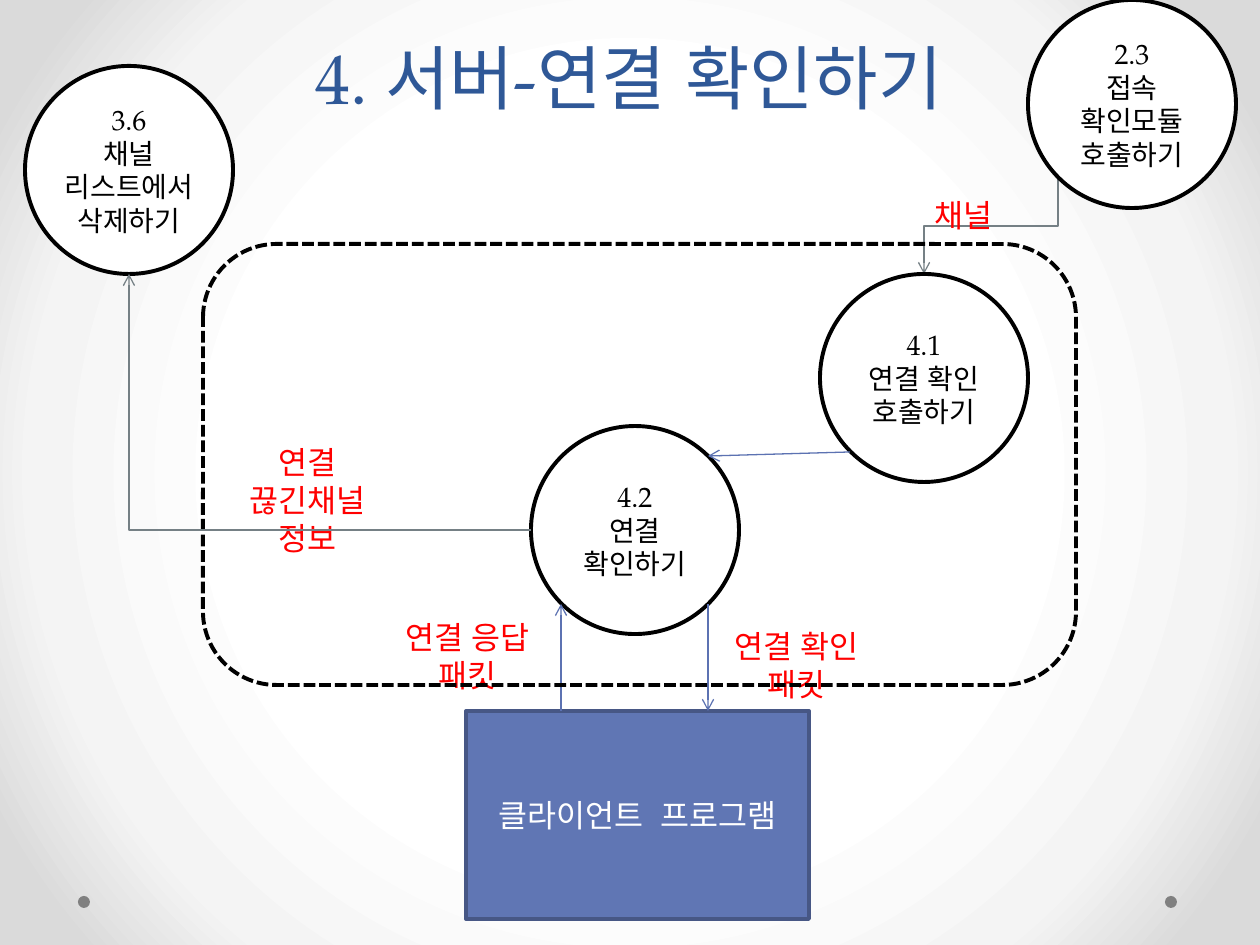
"""Build the server connection check data flow slide."""
from dataclasses import dataclass

from lxml import etree
from pptx import Presentation, util as u
from pptx.dml.color import RGBColor
from pptx.enum import dml, lang, shapes, text
from pptx.oxml import ns, parse_xml

FONT = "TeX Gyre Pagella"
SCALE = 914400 / 126
CIRCLE_SIZE = 208
BLACK, WHITE, RED = "000000", "FFFFFF", "FF0000"
BLUE_LINE, GRAY_LINE = "5C72B2", "758085"
GRADIENT_STOPS = ((50, "FFFFFF"), (76, "F4F4F4"), (92, "DADADA"))


@dataclass
class Process:
    left: int
    top: int
    lines: str


@dataclass
class Label:
    left: int
    top: int
    height: int
    caption: str


@dataclass
class Flow:
    begin: tuple[int, int]
    end: tuple[int, int]
    color: str = BLUE_LINE
    geometry: str = "line"
    rotation: int = 0


def px(length: float) -> u.Emu:
    """Convert pixels to EMU."""
    return u.Emu(round(length * SCALE))


def color(value: str) -> RGBColor:
    """Convert a hex string to a colour."""
    return RGBColor.from_string(value)


def write(frame, content: str, size: int, font_color: str) -> None:
    """Write centred, formatted paragraphs."""
    frame.text = content
    frame.word_wrap = True
    for paragraph in frame.paragraphs:
        paragraph.alignment = text.PP_ALIGN.CENTER
        for run in paragraph.runs:
            run.font.name = FONT
            run.font.size = u.Pt(size)
            run.font.color.rgb = color(font_color)
            run.font.language_id = lang.MSO_LANGUAGE_ID.KOREAN


def add_shape(slide, kind, left: int, top: int, width: int, height: int,
              fill: str | None, line: str | None):
    """Add a flat preset shape."""
    shape = slide.shapes.add_shape(kind, px(left), px(top), px(width), px(height))
    shape.shadow.inherit = False
    if fill:
        shape.fill.solid()
        shape.fill.fore_color.rgb = color(fill)
    else:
        shape.fill.background()
    if line:
        shape.line.color.rgb = color(line)
        shape.line.width = u.Pt(2.25)
    else:
        shape.line.fill.background()
    return shape


def add_process(slide, process: Process) -> None:
    """Add a process circle."""
    shape = add_shape(slide, shapes.MSO_SHAPE.OVAL, process.left, process.top,
                      CIRCLE_SIZE, CIRCLE_SIZE, WHITE, BLACK)
    frame = shape.text_frame
    frame.margin_left = frame.margin_right = px(5)
    frame.margin_top = frame.margin_bottom = px(5)
    frame.vertical_anchor = text.MSO_ANCHOR.MIDDLE
    write(frame, process.lines, 16, BLACK)


def add_label(slide, label: Label) -> None:
    """Add a red data label."""
    box = slide.shapes.add_textbox(px(label.left), px(label.top), px(189), px(label.height))
    write(box.text_frame, label.caption, 18, RED)
    box.text_frame.auto_size = text.MSO_AUTO_SIZE.SHAPE_TO_FIT_TEXT


def add_flow(slide, flow: Flow) -> None:
    """Add an arrow, straight or bent."""
    (x1, y1), (x2, y2) = flow.begin, flow.end
    if flow.rotation:
        width, height = abs(x2 - x1), abs(y2 - y1)
        if flow.rotation == 90:
            width, height = height, width
        middle_x, middle_y = (x1 + x2) / 2, (y1 + y2) / 2
        x1, x2 = middle_x - width / 2, middle_x + width / 2
        y1, y2 = middle_y - height / 2, middle_y + height / 2
    connector = slide.shapes.add_connector(
        shapes.MSO_CONNECTOR.STRAIGHT, px(x1), px(y1), px(x2), px(y2))
    connector.line.color.rgb = color(flow.color)
    connector.line.width = u.Pt(0.75)
    properties = connector._element.spPr
    properties.find(ns.qn("a:prstGeom")).set("prst", flow.geometry)
    if flow.rotation:
        properties.find(ns.qn("a:xfrm")).set("rot", str(flow.rotation * 60000))
    etree.SubElement(properties.find(ns.qn("a:ln")), ns.qn("a:tailEnd"), type="arrow")
    etree.SubElement(properties, ns.qn("a:effectLst"))


def set_background(slide) -> None:
    """Apply the radial background gradient."""
    stops = "".join(f'<a:gs pos="{position * 1000}"><a:srgbClr val="{value}"/></a:gs>'
                    for position, value in GRADIENT_STOPS)
    background = parse_xml(
        f'<p:bg {ns.nsdecls("p", "a")}><p:bgPr><a:gradFill rotWithShape="1">'
        f'<a:gsLst>{stops}</a:gsLst><a:path path="circle">'
        '<a:fillToRect l="50000" t="50000" r="50000" b="50000"/></a:path>'
        '</a:gradFill><a:effectLst/></p:bgPr></p:bg>')
    slide._element.cSld.insert(0, background)


def add_title(slide) -> None:
    """Place and format the title."""
    title = slide.shapes.title
    title.left, title.top, title.width, title.height = px(62), px(0), px(1134), px(125)
    write(title.text_frame, "4. 서버-연결 확인하기", 40, "2F5897")
    title.text_frame.vertical_anchor = text.MSO_ANCHOR.BOTTOM
    title.text_frame.paragraphs[0].line_spacing = u.Pt(58)


def add_client(slide) -> None:
    """Add the client program box."""
    client = add_shape(slide, shapes.MSO_SHAPE.RECTANGLE, 466, 711, 343, 208,
                       "6076B4", "475785")
    client.text_frame.vertical_anchor = text.MSO_ANCHOR.MIDDLE
    write(client.text_frame, "클라이언트  프로그램", 18, WHITE)


def add_boundary(slide) -> None:
    """Add the dashed system boundary."""
    boundary = add_shape(slide, shapes.MSO_SHAPE.ROUNDED_RECTANGLE,
                         203, 244, 873, 441, None, BLACK)
    boundary.line.dash_style = dml.MSO_LINE.SQUARE_DOT


def main() -> None:
    """Build and save the slide."""
    presentation = Presentation()
    presentation.slide_width, presentation.slide_height = px(1260), px(945)
    slide = presentation.slides.add_slide(presentation.slide_layouts[5])
    set_background(slide)
    add_title(slide)
    for left in (1165, 78):
        add_shape(slide, shapes.MSO_SHAPE.OVAL, left, 896, 12, 12, "808080", None)
    add_process(slide, Process(531, 426, "4.2\n연결 확인하기"))
    add_client(slide)
    add_flow(slide, Flow((1058, 178), (924, 274), GRAY_LINE, "bentConnector3", 90))
    add_label(slide, Label(373, 612, 89, "연결 응답 패킷"))
    add_label(slide, Label(702, 621, 89, "연결 확인 패킷"))
    add_flow(slide, Flow((561, 711), (561, 604)))
    add_flow(slide, Flow((708, 604), (708, 711)))
    add_boundary(slide)
    add_process(slide, Process(820, 274, "4.1\n연결 확인\n호출하기"))
    add_flow(slide, Flow((850, 452), (708, 456)))
    add_label(slide, Label(213, 437, 89, "연결 끊긴채널 정보"))
    add_process(slide, Process(1028, 0, "2.3\n접속 확인모듈 호출하기"))
    add_process(slide, Process(25, 66, "3.6\n채널 리스트에서 삭제하기"))
    add_flow(slide, Flow((531, 530), (129, 274), GRAY_LINE, "bentConnector2", 180))
    add_label(slide, Label(869, 190, 50, "채널"))
    presentation.save("out.pptx")


main()
